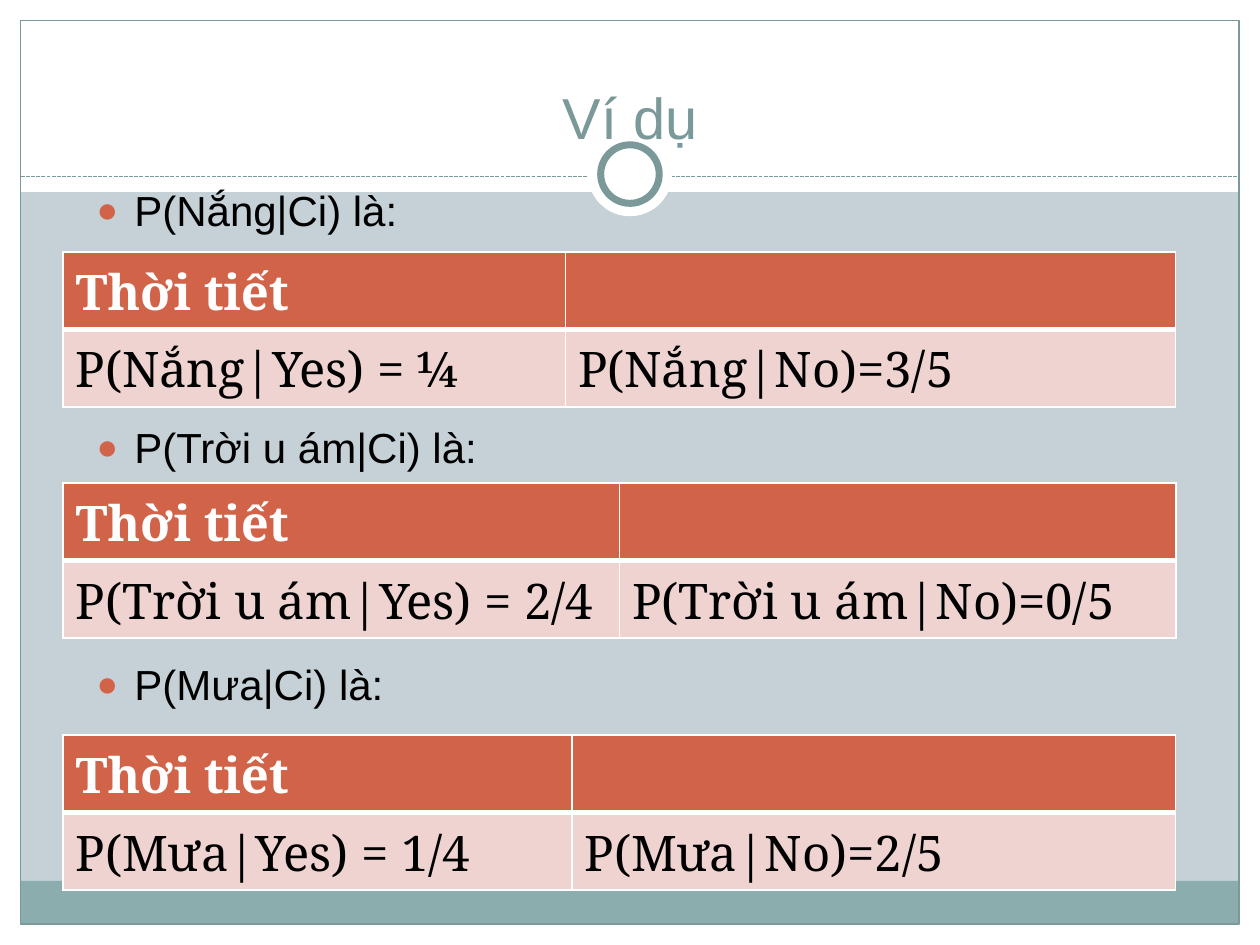
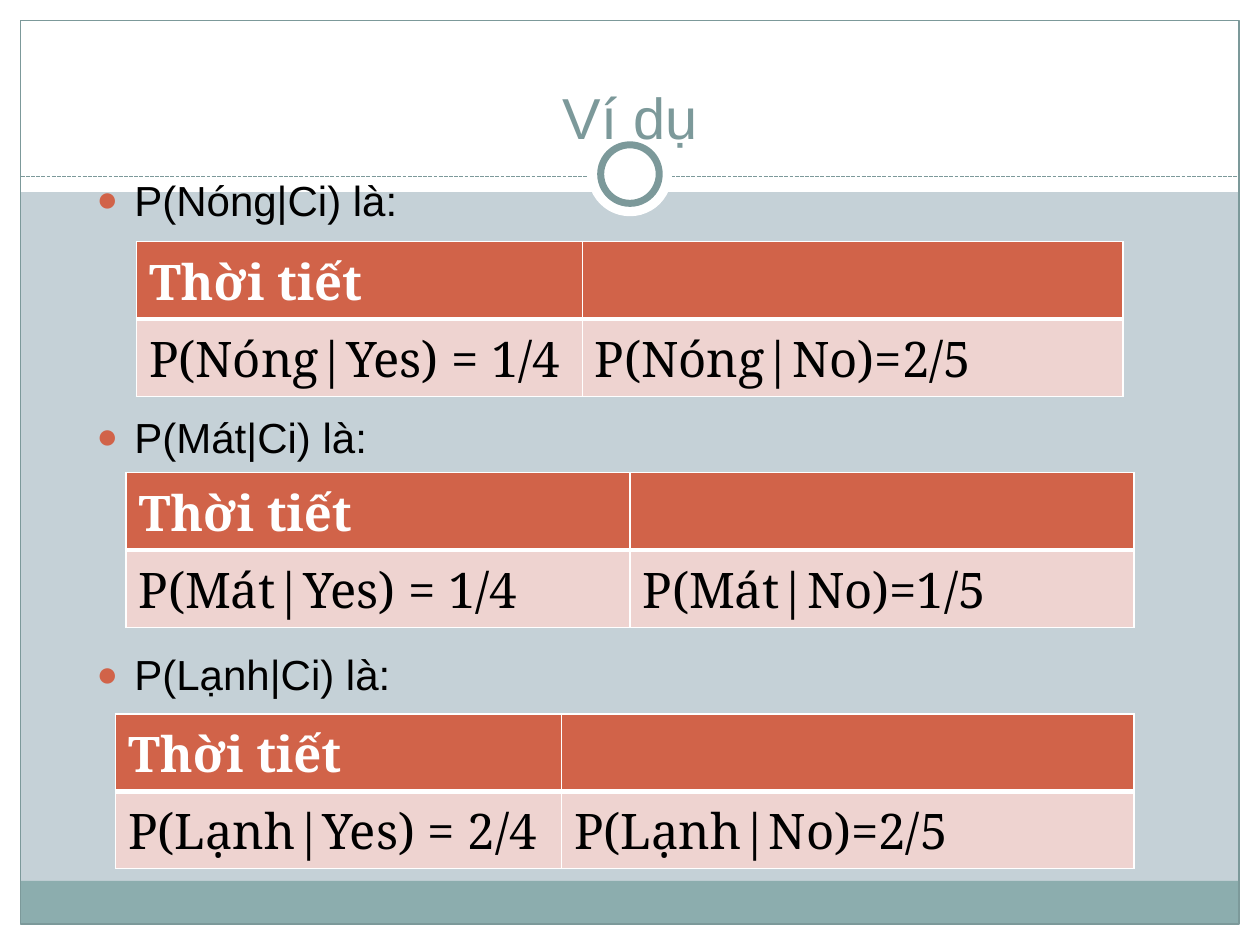
from lxml import etree
from pptx import Presentation
from pptx.dml.color import RGBColor
from pptx.enum.dml import MSO_LINE
from pptx.enum.shapes import MSO_CONNECTOR, MSO_SHAPE
from pptx.enum.text import MSO_ANCHOR, MSO_AUTO_SIZE, PP_ALIGN
from pptx.oxml.ns import qn
from pptx.util import Cm, Pt

RECT, OVAL = MSO_SHAPE.RECTANGLE, MSO_SHAPE.OVAL
STRAIGHT = MSO_CONNECTOR.STRAIGHT
SHORT_DASH = MSO_LINE.SQUARE_DOT
CENTER, BOTTOM = PP_ALIGN.CENTER, MSO_ANCHOR.BOTTOM
NO_AUTOFIT = MSO_AUTO_SIZE.NONE

WHITE = RGBColor(0xFF, 0xFF, 0xFF)
BLACK = RGBColor(0, 0, 0)
BACKGROUND = RGBColor(0xC5, 0xD1, 0xD7)
TEAL = RGBColor(0x7C, 0x99, 0x9A)
FOOTER_TEAL = RGBColor(0x8C, 0xAD, 0xAE)
ORANGE = RGBColor(0xD1, 0x63, 0x49)
PINK = RGBColor(0xEE, 0xD3, 0xD0)

SANS, SERIF = "Arial", "Noto Serif"
SLIDE_W, SLIDE_H = 25.4, 19.05
MARGIN = 0.42
RULE_Y = 3.56
ROW_H = 1.56

# Per slide: top of the bullets, then for each weather value its
# probabilities and the left, top and column widths of its table (cm)
SLIDES = [
    (3.6, [
        ("Nắng", "¼", "3/5", 1.27, 5.08, (10.13, 12.3)),
        ("Trời u ám", "2/4", "0/5", 1.27, 9.74, (11.22, 11.22)),
        ("Mưa", "1/4", "2/5", 1.27, 14.82, (10.26, 12.17)),
    ]),
    (3.39, [
        ("Nóng", "1/4", "2/5", 2.75, 4.87, (8.99, 10.9)),
        ("Mát", "1/4", "1/5", 2.54, 9.53, (10.16, 10.16)),
        ("Lạnh", "2/4", "2/5", 2.33, 14.39, (8.99, 11.54)),
    ]),
]


def add_figure(slide, preset, box, fill=None, line_width=None):
    figure = slide.shapes.add_shape(preset, *[Cm(v) for v in box])
    figure.shadow.inherit = False
    if fill is None:
        figure.fill.background()
    else:
        figure.fill.solid()
        figure.fill.fore_color.rgb = fill
    if line_width is None:
        figure.line.fill.background()
    else:
        figure.line.color.rgb = TEAL
        figure.line.width = Pt(line_width)
    return figure


def add_rule(slide):
    rule = slide.shapes.add_connector(
        STRAIGHT, Cm(MARGIN), Cm(RULE_Y), Cm(SLIDE_W - MARGIN), Cm(RULE_Y))
    rule.line.color.rgb = TEAL
    rule.line.width = Pt(0.75)
    rule.line.dash_style = SHORT_DASH
    etree.SubElement(rule.element.spPr, qn("a:effectLst"))
    return rule


def set_up_layout(layout):
    layout.background.fill.solid()
    layout.background.fill.fore_color.rgb = BACKGROUND
    # Only the title placeholder is kept
    for placeholder in list(layout.placeholders)[1:]:
        layout.shapes.element.remove(placeholder.element)


def move_frame_to_layout(slide, layout):
    """Draw the shared frame, then hand it over to the layout."""
    inner_w = SLIDE_W - 2 * MARGIN
    inner_h = SLIDE_H - 2 * MARGIN
    frame = [
        # White page margins and title band
        add_figure(slide, RECT, (0, SLIDE_H - MARGIN, SLIDE_W, MARGIN), WHITE),
        add_figure(slide, RECT, (0, 0, SLIDE_W, 3.87), WHITE),
        add_figure(slide, RECT, (0, 0, MARGIN, SLIDE_H), WHITE),
        add_figure(slide, RECT, (SLIDE_W - MARGIN, 0, MARGIN, SLIDE_H), WHITE),
        # Footer band, border and rule
        add_figure(slide, RECT, (MARGIN, 17.76, inner_w, 0.87), FOOTER_TEAL),
        add_figure(slide, RECT, (MARGIN, MARGIN, inner_w, inner_h), None, 0.75),
        add_rule(slide),
    ]
    # Ring on the rule
    for diameter, line_width in ((1.7, None), (1.18, 4)):
        box = ((SLIDE_W - diameter) / 2, 3.51 - diameter / 2, diameter, diameter)
        frame.append(add_figure(slide, OVAL, box, WHITE, line_width))
    for part in frame:
        layout.shapes.element.append(part.element)


def style_runs(paragraph, font_name, size, color, bold=False):
    for run in paragraph.runs:
        run.font.name = font_name
        run.font.size = Pt(size)
        run.font.color.rgb = color
        run.font.bold = bold


def set_title(slide, text):
    title = slide.shapes.title
    title.left, title.top = Cm(1.27), Cm(0)
    title.width, title.height = Cm(22.86), Cm(3.18)
    title.text_frame.text = text
    title.text_frame.vertical_anchor = BOTTOM
    title.text_frame.auto_size = NO_AUTOFIT
    heading = title.text_frame.paragraphs[0]
    heading.alignment = CENTER
    style_runs(heading, SANS, 33, TEAL)


def add_bullet(paragraph):
    props = paragraph._p.get_or_add_pPr()
    props.set("marL", str(Cm(0.76)))
    props.set("indent", str(-Cm(0.76)))
    color = etree.SubElement(props, qn("a:buClr"))
    etree.SubElement(color, qn("a:srgbClr"), val=str(ORANGE))
    etree.SubElement(props, qn("a:buSzPct"), val="85000")
    etree.SubElement(props, qn("a:buFont"), typeface=SANS)
    etree.SubElement(props, qn("a:buChar"), char="●")


def add_bullets(slide, top, lines):
    body = slide.shapes.add_textbox(Cm(1.7), Cm(top), Cm(22.86), Cm(14.6))
    body.text_frame.word_wrap = True
    body.text_frame.text = "\n".join(lines)
    for index, paragraph in enumerate(body.text_frame.paragraphs):
        # The gap leaves room for the table under each bullet
        paragraph.space_before = Pt(106.7 if index else 0)
        add_bullet(paragraph)
        style_runs(paragraph, SANS, 24, BLACK)


def set_borders(cell, top, bottom):
    props = cell._tc.get_or_add_tcPr()
    for side, width in (("L", 1), ("R", 1), ("T", top), ("B", bottom)):
        border = etree.SubElement(props, qn(f"a:ln{side}"), w=str(Pt(width)))
        fill = etree.SubElement(border, qn("a:solidFill"))
        etree.SubElement(fill, qn("a:srgbClr"), val=str(WHITE))


def add_probability_table(slide, left, top, widths, rows):
    table = slide.shapes.add_table(
        len(rows), len(widths), Cm(left), Cm(top),
        Cm(sum(widths)), Cm(ROW_H * len(rows))).table
    table.horz_banding = False
    for column, width in zip(table.columns, widths):
        column.width = Cm(width)
    for r, texts in enumerate(rows):
        header = r == 0
        for c, text in enumerate(texts):
            cell = table.cell(r, c)
            set_borders(cell, 1 if header else 3, 3 if header else 1)
            cell.fill.solid()
            cell.fill.fore_color.rgb = ORANGE if header else PINK
            cell.text_frame.text = text
            style_runs(cell.text_frame.paragraphs[0], SERIF, 28,
                       WHITE if header else BLACK, header)


def main():
    prs = Presentation()
    prs.slide_width, prs.slide_height = Cm(SLIDE_W), Cm(SLIDE_H)
    layout = prs.slide_layouts[5]
    set_up_layout(layout)

    for number, (bullets_top, weather) in enumerate(SLIDES):
        slide = prs.slides.add_slide(layout)
        if number == 0:
            move_frame_to_layout(slide, layout)
        set_title(slide, "Ví dụ")
        add_bullets(slide, bullets_top, [f"P({w[0]}|Ci) là:" for w in weather])
        for value, yes, no, left, top, widths in weather:
            add_probability_table(slide, left, top, widths, [
                ("Thời tiết", ""),
                (f"P({value}|Yes) = {yes}", f"P({value}|No)={no}"),
            ])

    prs.save("out.pptx")


main()
